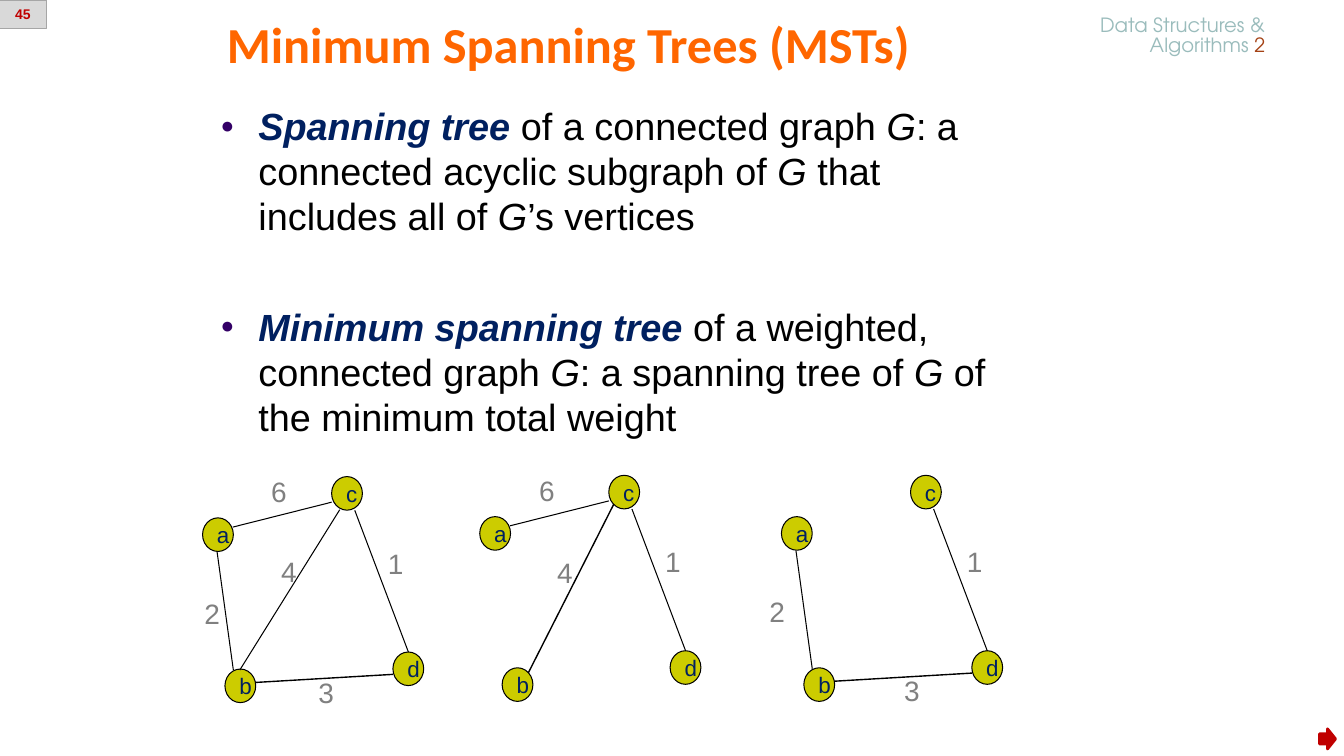
from dataclasses import dataclass

from lxml.etree import SubElement
from pptx import Presentation
from pptx.dml.color import RGBColor
from pptx.enum.shapes import MSO_CONNECTOR, MSO_SHAPE
from pptx.enum.text import MSO_ANCHOR, MSO_AUTO_SIZE, PP_ALIGN
from pptx.oxml.ns import qn
from pptx.util import Pt

TITLE = "Minimum Spanning Trees (MSTs)"
PAGE_NUMBER = "45"
COURSE = [[("Data Structures &", "course")],
          [("Algorithms ", "course"), ("2", "course_number")]]
BULLETS = [
    [("Spanning tree ", "term"), ("of a connected graph ", "body"), ("G", "variable"),
     (": a connected acyclic subgraph of ", "body"), ("G ", "variable"),
     ("that includes all of ", "body"), ("G", "variable"), ("’s vertices", "body")],
    [("Minimum spanning tree ", "term"), ("of a weighted, connected graph ", "body"),
     ("G", "variable"), (": a spanning tree of ", "body"), ("G", "variable"),
     (" of the minimum total weight", "body")],
]

# Offsets in points from the top left corner of node a
NODES = {"a": (0, 0), "b": (16, 108), "c": (92.2, -29.5), "d": (136, 95.8)}
# Edge: start, end, line width
EDGES = {
    "ac": ((21.6, 6.6), (92.2, -11.2), 0.75),
    "ab": ((10.4, 24.5), (22, 108.7), 0.75),
    "bc": ((26.6, 108.7), (98, -5.8), 0.75),
    "bc close": ((34.6, 111.8), (95.8, -9), 1),
    "bd": ((37.6, 117.6), (136, 111.8), 1),
    "cd": ((108.7, -5.4), (147, 95.8), 0.75),
}
# Graph: origin, then the weight and label offset of each edge
GRAPHS = [
    ((144.7, 369.9), {"ac": ("6", (41.8, -34.6)), "ab": ("2", (-5.8, 52.6)),
                      "bc": ("4", (49, 22.3)), "bd": ("3", (75.6, 108.7)),
                      "cd": ("1", (125.3, 16.7))}),
    ((342.7, 369), {"ac": ("6", (35.3, -34.2)), "bc close": ("4", (48.2, 24.1)),
                    "cd": ("1", (125.3, 16.7))}),
    ((558.2, 369), {"ab": ("2", (-15.8, 52.2)), "bd": ("3", (80.6, 108.4)),
                    "cd": ("1", (125.3, 16.7))}),
]
NODE_SIZE = (22, 24)
LABEL_SIZE = (26, 31.5)


@dataclass(frozen=True)
class TextStyle:
    size: float
    color: str
    font: str = "Arial"
    bold: bool = False
    italic: bool = False


class Theme:
    black = "000000"
    node = "CCCC00"
    bullet = "330066"
    arrow = "C00000"
    page_fill = "D9D9D9"
    page_line = "A6A6A6"
    text = {
        "title": TextStyle(36, "FF6600", "Calibri", bold=True),
        "course": TextStyle(14, "9ABCBC", "TeX Gyre Adventor"),
        "course_number": TextStyle(14, "A44114", "TeX Gyre Adventor"),
        "term": TextStyle(27, "002060", bold=True, italic=True),
        "body": TextStyle(27, "000000"),
        "variable": TextStyle(27, "000000", italic=True),
        "node": TextStyle(16, "002060"),
        "weight": TextStyle(20, "808080"),
        "page": TextStyle(10, "C00000", bold=True),
    }


def add_runs(paragraph, runs):
    for text, style_name in runs:
        style = Theme.text[style_name]
        run = paragraph.add_run()
        run.text = text
        run.font.name = style.font
        run.font.size = Pt(style.size)
        run.font.bold = style.bold
        run.font.italic = style.italic
        run.font.color.rgb = RGBColor.from_string(style.color)


def add_text_box(shapes, box, paragraphs, wrap=True):
    text_box = shapes.add_textbox(*map(Pt, box))
    frame = text_box.text_frame
    frame.word_wrap = wrap
    for index, runs in enumerate(paragraphs):
        paragraph = frame.add_paragraph() if index else frame.paragraphs[0]
        add_runs(paragraph, runs)
    return frame


def add_filled_shape(shapes, kind, box, fill, line, width):
    shape = shapes.add_shape(kind, *map(Pt, box))
    shape.shadow.inherit = False
    shape.fill.solid()
    shape.fill.fore_color.rgb = RGBColor.from_string(fill)
    shape.line.color.rgb = RGBColor.from_string(line)
    shape.line.width = Pt(width)
    return shape


def set_bullet(paragraph):
    properties = paragraph._p.get_or_add_pPr()
    properties.set("marL", str(Pt(27)))
    properties.set("indent", str(Pt(-27)))
    color = SubElement(properties, qn("a:buClr"))
    SubElement(color, qn("a:srgbClr"), val=Theme.bullet)
    SubElement(properties, qn("a:buSzPct"), val="60000")
    SubElement(properties, qn("a:buFont"), typeface="Arial")
    SubElement(properties, qn("a:buChar"), char="●")


def add_graph(slide, origin, edges):
    def shift(offset):
        return origin[0] + offset[0], origin[1] + offset[1]

    shapes = slide.shapes.add_group_shape().shapes
    for name, offset in NODES.items():
        node = add_filled_shape(shapes, MSO_SHAPE.OVAL, shift(offset) + NODE_SIZE,
                                Theme.node, Theme.black, 0.75)
        frame = node.text_frame
        frame.word_wrap = False
        frame.vertical_anchor = MSO_ANCHOR.MIDDLE
        frame.paragraphs[0].alignment = PP_ALIGN.LEFT
        add_runs(frame.paragraphs[0], [(name, "node")])
    for name, (weight, label_offset) in edges.items():
        start, end, width = EDGES[name]
        edge = shapes.add_connector(MSO_CONNECTOR.STRAIGHT,
                                    *map(Pt, shift(start) + shift(end)))
        edge.line.color.rgb = RGBColor.from_string(Theme.black)
        edge.line.width = Pt(width)
        SubElement(edge._element.spPr, qn("a:effectLst"))
        frame = add_text_box(shapes, shift(label_offset) + LABEL_SIZE,
                             [[(weight, "weight")]], wrap=False)
        frame.auto_size = MSO_AUTO_SIZE.SHAPE_TO_FIT_TEXT


def main():
    presentation = Presentation()
    presentation.slide_width, presentation.slide_height = Pt(960), Pt(540)
    slide = presentation.slides.add_slide(presentation.slide_layouts[5])

    title = slide.shapes.title
    title.left, title.top, title.width, title.height = map(Pt, (154.8, 13.7, 555.8, 42.5))
    title.text_frame.auto_size = MSO_AUTO_SIZE.NONE
    title.text_frame.vertical_anchor = MSO_ANCHOR.BOTTOM
    title.text_frame.paragraphs[0].alignment = PP_ALIGN.LEFT
    add_runs(title.text_frame.paragraphs[0], [(TITLE, "title")])

    course = add_text_box(slide.shapes, (752.4, 8.6, 158.4, 35.3), COURSE)
    for paragraph in course.paragraphs:
        paragraph.alignment = PP_ALIGN.RIGHT
        paragraph.line_spacing = Pt(14)

    bullets = add_text_box(slide.shapes, (150.5, 70, 572.4, 386), BULLETS)
    for paragraph in bullets.paragraphs:
        set_bullet(paragraph)
        paragraph.line_spacing = Pt(32.3)
    bullets.paragraphs[1].space_before = Pt(46.4)

    for origin, edges in GRAPHS:
        add_graph(slide, origin, edges)

    add_filled_shape(slide.shapes, MSO_SHAPE.RIGHT_ARROW, (942.5, 520.6, 11.5, 14.4),
                     Theme.arrow, Theme.arrow, 2)
    page = add_filled_shape(slide.shapes, MSO_SHAPE.RECTANGLE, (-0.5, 0, 33.8, 20.2),
                            Theme.page_fill, Theme.page_line, 0.75)
    page.text_frame.vertical_anchor = MSO_ANCHOR.MIDDLE
    page.text_frame.paragraphs[0].alignment = PP_ALIGN.CENTER
    add_runs(page.text_frame.paragraphs[0], [(PAGE_NUMBER, "page")])

    presentation.save("out.pptx")


if __name__ == "__main__":
    main()
